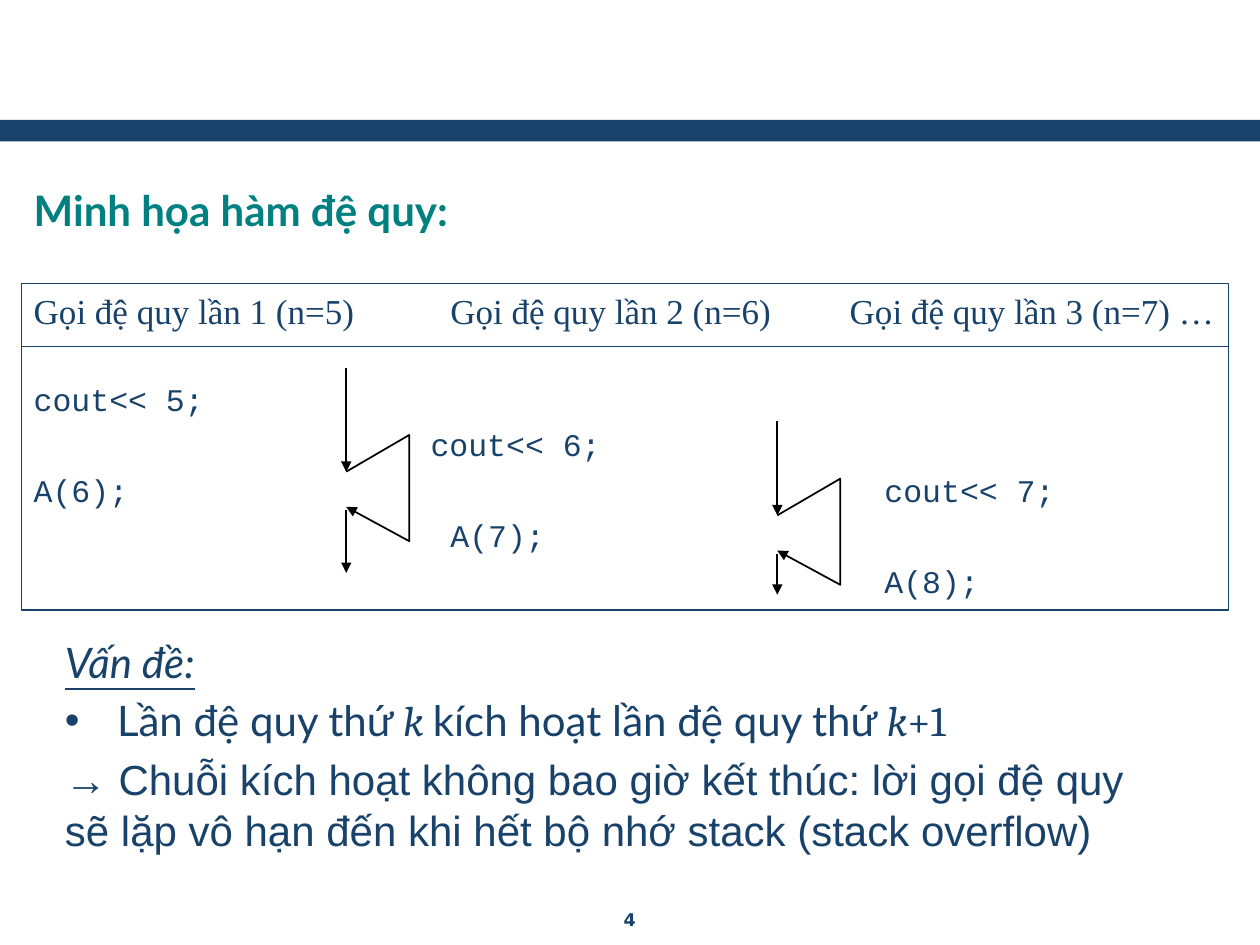
from lxml import etree
from pptx import Presentation, util as u
from pptx.dml.color import RGBColor
from pptx.enum import shapes, text
from pptx.oxml.ns import qn

Cm, Pt = u.Cm, u.Pt
COLORS = {"navy": "19426B", "teal": "008080", "black": "000000"}
W, H = 25.4, 19.05


def rgb(name):
    return RGBColor.from_string(COLORS[name])


def style(r, font, size, color="navy", bold=False, italic=False, underline=False):
    f = r.font
    f.name, f.size, f.bold, f.italic, f.underline = font, Pt(size), bold, italic, underline
    f.color.rgb = rgb(color)


def add_text(s, x, y, w, h):
    tf = s.shapes.add_textbox(Cm(x), Cm(y), Cm(w), Cm(h)).text_frame
    tf.word_wrap = True
    return tf


def add_rect(s, x, y, w, h):
    sp = s.shapes.add_shape(shapes.MSO_SHAPE.RECTANGLE, Cm(x), Cm(y), Cm(w), Cm(h))
    sp.shadow.inherit = False
    return sp


def add_arrowhead(sp):
    sp.line._get_or_add_ln().append(etree.Element(qn("a:tailEnd"), type="triangle"))


def add_line(s, x1, y1, x2, y2, color="black", width=1, arrow=True):
    c = s.shapes.add_connector(shapes.MSO_CONNECTOR.STRAIGHT, Cm(x1), Cm(y1), Cm(x2), Cm(y2))
    c.line.color.rgb, c.line.width = rgb(color), Pt(width)
    if arrow:
        add_arrowhead(c)
    etree.SubElement(c._element.spPr, qn("a:effectLst"))


def set_tabs(p, stops):
    tabs = etree.SubElement(p._p.get_or_add_pPr(), qn("a:tabLst"))
    for stop in stops:
        etree.SubElement(tabs, qn("a:tab"), pos=str(Cm(stop)), algn="l")


def draw_band(s, x, y, w, h):
    sp = add_rect(s, x, y, w, h)
    sp.fill.solid()
    sp.fill.fore_color.rgb = rgb("navy")
    sp.line.fill.background()


def draw_heading(s, x, y, w, h):
    p = add_text(s, x, y, w, h).paragraphs[0]
    p.text = "Minh họa hàm đệ quy:"
    style(p.runs[0], "Lato", 24, "teal", bold=True)


def draw_trace(s, x, y, w, h):
    """Framed table of the recursive calls, one column per call."""
    sp = add_rect(s, x, y, w, h)
    sp.fill.background()
    sp.line.color.rgb, sp.line.width = rgb("navy"), Pt(0.75)
    tf = sp.text_frame
    tf.vertical_anchor = text.MSO_ANCHOR.TOP
    header_tabs, code_tabs = (8.4, 16.45), (8, 17.15)
    rows = [
        ("Gọi đệ quy lần 1 (n=5)\tGọi đệ quy lần 2 (n=6)\tGọi đệ quy lần 3 (n=7) …", header_tabs),
        ("cout<< 5;", code_tabs),
        ("\tcout<< 6;", code_tabs),
        ("A(6);\t\tcout<< 7;", code_tabs),
        ("\tA(7);", header_tabs),
        ("\t\tA(8);", code_tabs),
    ]
    for i, (row, tabs) in enumerate(rows):
        p = tf.add_paragraph() if i else tf.paragraphs[0]
        p.text = row
        p.alignment = text.PP_ALIGN.LEFT
        if i:
            p.line_spacing = Pt(26)
        if i == 1:
            p.space_before = Pt(23)
        set_tabs(p, tabs)
        for r in p.runs:
            style(r, *(("Courier New", 18) if i else ("Times New Roman", 20)))
    add_line(s, x, y + 1.27, x + w, y + 1.27, "navy", 0.75, arrow=False)


def draw_call(s, x, y, h, lead):
    """Flow down for lead, out to the nested call and back, then on to y + h."""
    call = y + lead
    add_line(s, x, call + 0.77, x, y + h)
    add_line(s, x, y, x, call)
    fb = s.shapes.build_freeform(Cm(x), Cm(call))
    fb.add_line_segments([(Cm(x + 1.27), Cm(call - 0.74)), (Cm(x + 1.27), Cm(call + 1.4)),
                          (Cm(x), Cm(call + 0.71))], close=False)
    sp = fb.convert_to_shape()
    sp.shadow.inherit = False
    sp.fill.background()
    sp.line.color.rgb, sp.line.width = rgb("black"), Pt(1)
    add_arrowhead(sp)


def draw_problem(s, x, y, w, h):
    tf = add_text(s, x, y, w, h)
    lato, math = {"font": "Lato"}, {"font": "Cambria", "italic": True}
    paragraphs = [
        [("Vấn đề:", {"font": "Lato", "italic": True, "underline": True})],
        [("Lần đệ quy thứ ", lato), ("k ", math), ("kích hoạt lần đệ quy thứ ", lato),
         ("k", math), ("+1", {"font": "Cambria"})],
        [("→ Chuỗi kích hoạt không bao giờ kết thúc: lời gọi đệ quy sẽ lặp vô hạn "
          "đến khi hết bộ nhớ stack (stack overflow)", {"font": "Arial"})],
    ]
    for i, parts in enumerate(paragraphs):
        p = tf.add_paragraph() if i else tf.paragraphs[0]
        if i:
            p.space_before = Pt(4.8)
        for words, look in parts:
            r = p.add_run()
            r.text = words
            style(r, size=24, **look)
    pPr = tf.paragraphs[1]._p.get_or_add_pPr()
    pPr.set("marL", str(Cm(1.05)))
    pPr.set("indent", str(Cm(-1.05)))
    etree.SubElement(pPr, qn("a:buFont"), typeface="Arial")
    etree.SubElement(pPr, qn("a:buChar"), char="•")


def draw_page_number(s, x, y, w, h):
    tf = add_text(s, x, y, w, h)
    tf.margin_top = tf.margin_bottom = 0
    tf.vertical_anchor = text.MSO_ANCHOR.MIDDLE
    p = tf.paragraphs[0]
    p.text = "4"
    p.alignment = text.PP_ALIGN.CENTER
    style(p.runs[0], "DejaVu Sans", 10, bold=True)


def main():
    prs = Presentation()
    prs.slide_width, prs.slide_height = Cm(W), Cm(H)
    s = prs.slides.add_slide(prs.slide_layouts[6])
    draw_band(s, 0, 2.42, W, 0.43)
    draw_heading(s, 0.43, 3.6, 22.65, 1.47)
    draw_trace(s, 0.43, 5.72, 24.33, 6.58)
    draw_call(s, 6.98, 7.42, 4.13, 2.09)
    draw_call(s, 15.67, 8.48, 3.51, 1.91)
    draw_problem(s, 1.06, 12.7, 22.65, 5.18)
    draw_page_number(s, 9.73, 18.2, 5.93, 0.66)
    prs.save("out.pptx")


if __name__ == "__main__":
    main()
